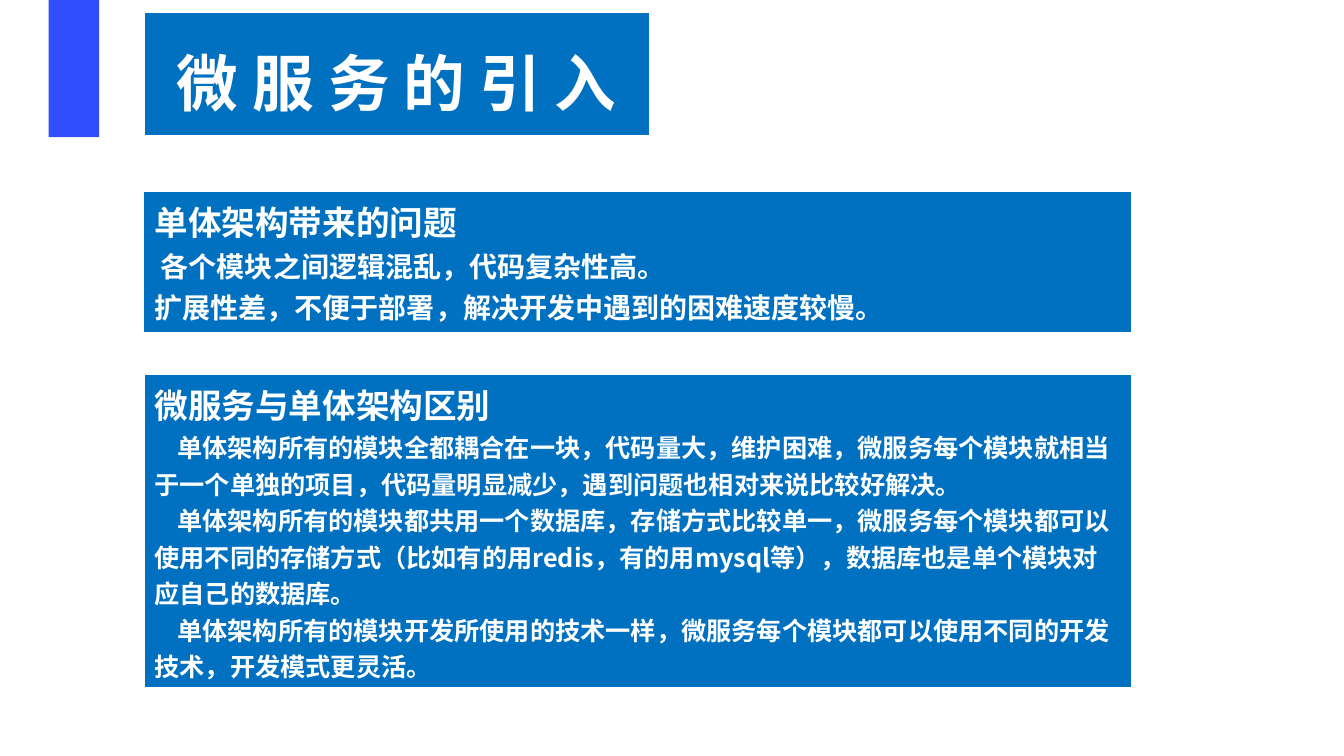
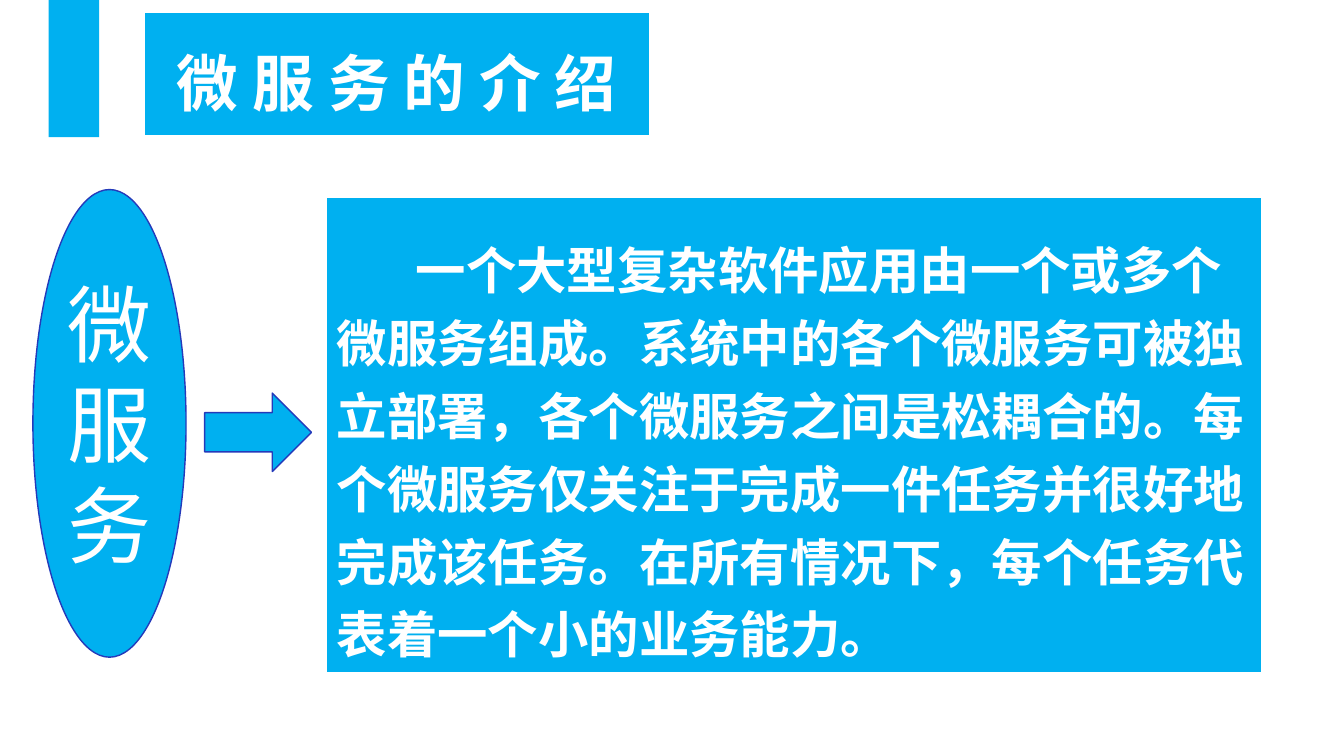
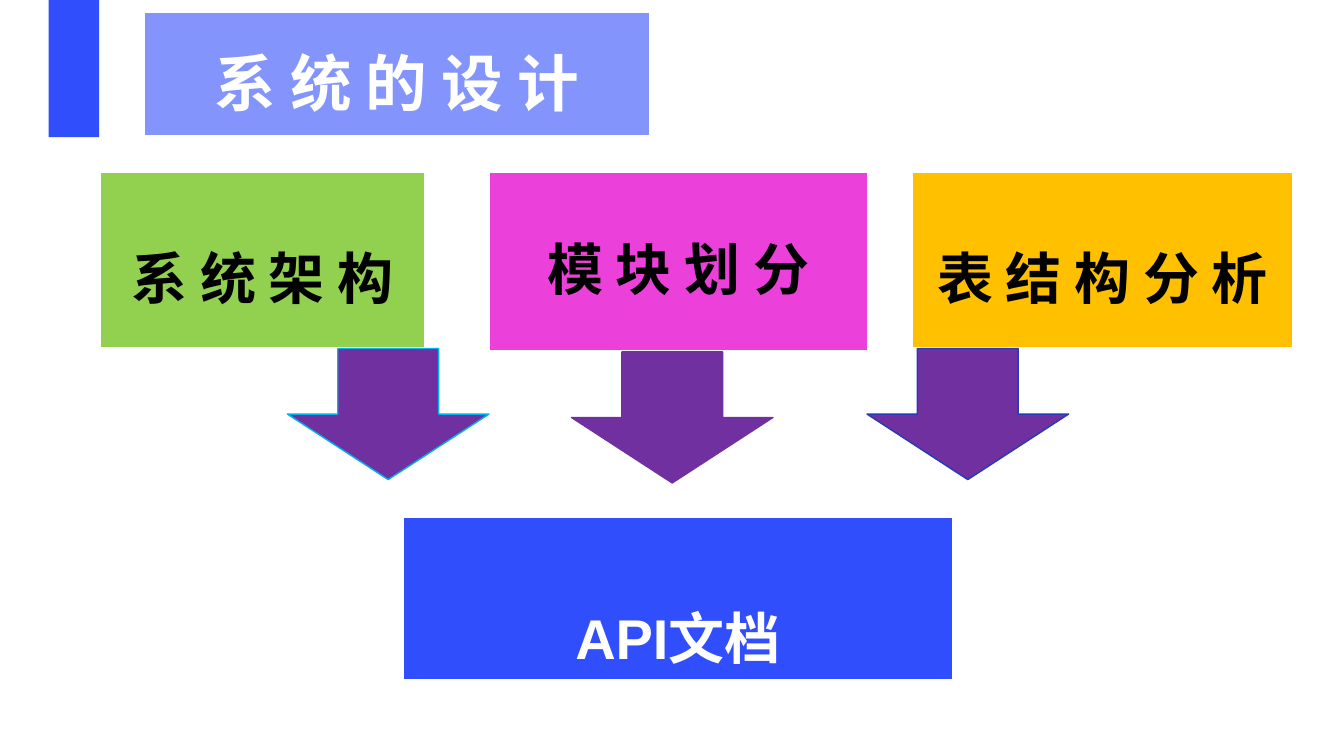
from pptx import Presentation
from pptx.dml.color import RGBColor
from pptx.enum import shapes, text
from pptx.oxml import ns, parse_xml
from pptx.util import Pt

WHITE = RGBColor(0xFF, 0xFF, 0xFF)
BLACK = RGBColor(0x00, 0x00, 0x00)
ROYAL = RGBColor(0x30, 0x4E, 0xFC)
PERIWINKLE = RGBColor(0x83, 0x95, 0xFD)
BLUE = RGBColor(0x00, 0x70, 0xC0)
SKY = RGBColor(0x00, 0xB0, 0xF0)
NAVY = RGBColor(0x24, 0x3A, 0xBA)
GREEN = RGBColor(0x92, 0xD0, 0x50)
PINK = RGBColor(0xEC, 0x40, 0xDA)
AMBER = RGBColor(0xFF, 0xC0, 0x00)
PURPLE = RGBColor(0x70, 0x30, 0xA0)
LATIN, CJK = "Arial", "Noto Sans CJK SC"
CENTER = text.PP_ALIGN.CENTER
BORDERS = {"lnL": 1, "lnR": 1, "lnT": 1, "lnB": 3}


def write(paragraph, words, size, font=CJK, color=WHITE, bold=True,
          align=None, spacing=None, indent=0):
    """Add one run and set the paragraph's layout."""
    paragraph.alignment = align
    paragraph.line_spacing = spacing
    if indent:
        paragraph._p.get_or_add_pPr().set("indent", str(Pt(indent)))
    run = paragraph.add_run()
    run.text = words
    run.font.size = Pt(size)
    run.font.name = font
    run.font.bold = bold
    run.font.color.rgb = color
    properties = run._r.get_or_add_rPr()
    east_asian = properties.makeelement(ns.qn("a:ea"), {"typeface": CJK})
    properties.find(ns.qn("a:latin")).addnext(east_asian)


def add_panel(slide, place, fill, line=None, kind=None, bordered=True):
    """Add a one-cell table and return its cell, or a preset shape if kind is given."""
    place = [Pt(n) for n in place]
    if kind is None:
        panel = slide.shapes.add_table(1, 1, *place).table.cell(0, 0)
        stroke = f'<a:solidFill><a:srgbClr val="{WHITE}"/></a:solidFill>' if bordered else "<a:noFill/>"
        for side, width in BORDERS.items():
            panel._tc.get_or_add_tcPr().append(parse_xml(
                f'<a:{side} {ns.nsdecls("a")} w="{Pt(width)}">{stroke}</a:{side}>'))
    else:
        panel = slide.shapes.add_shape(kind, *place)
        panel.shadow.inherit = False
        if line is None:
            panel.line.fill.background()
        else:
            panel.line.color.rgb = line
            panel.line.width = Pt(1)
    panel.fill.solid()
    panel.fill.fore_color.rgb = fill
    return panel


prs = Presentation()
prs.slide_width, prs.slide_height = Pt(960), Pt(540)

# Shared header: side band and title table
headers = [
    ("微 服 务 的 引 入", ROYAL, BLUE),
    ("微 服 务 的 介 绍", SKY, SKY),
    ("系 统 的 设 计", ROYAL, PERIWINKLE),
]
for heading, band_color, title_color in headers:
    slide = prs.slides.add_slide(prs.slide_layouts[6])
    add_panel(slide, (34.8, 0, 36, 98), band_color, kind=shapes.MSO_SHAPE.RECTANGLE)
    title = add_panel(slide, (103.2, 8.8, 360.6, 89), title_color)
    write(title.text_frame.paragraphs[0], heading, 44, LATIN, align=CENTER, spacing=1.2)

origin, introduction, design = prs.slides

# Slide 1: problems and differences
sections = [
    ((103.2, 136.8, 704.8, 98), False, "单体架构带来的问题", 20, [
        (4.5, "各个模块之间逻辑混乱，代码复杂性高。"),
        (0, "扩展性差，不便于部署，解决开发中遇到的困难速度较慢。"),
    ]),
    ((103.2, 267.6, 704.8, 198.7), True, "微服务与单体架构区别", 18, [
        (16.3, "单体架构所有的模块全都耦合在一块，代码量大，维护困难，微服务每个模块就相当于"
               "一个单独的项目，代码量明显减少，遇到问题也相对来说比较好解决。"),
        (16.3, "单体架构所有的模块都共用一个数据库，存储方式比较单一，微服务每个模块都可以使用"
               "不同的存储方式（比如有的用redis，有的用mysql等），数据库也是单个模块对应自己的数据库。"),
        (16.3, "单体架构所有的模块开发所使用的技术一样，微服务每个模块都可以使用不同的开发技术，"
               "开发模式更灵活。"),
    ]),
]
for place, bordered, heading, size, points in sections:
    frame = add_panel(origin, place, BLUE, bordered=bordered).text_frame
    write(frame.paragraphs[0], heading, 24)
    for indent, point in points:
        write(frame.add_paragraph(), point, size, indent=indent)

# Slide 2: definition
definition = add_panel(introduction, (233.3, 141, 668, 309), SKY)
definition.margin_top = Pt(24)
write(definition.text_frame.paragraphs[0],
      "一个大型复杂软件应用由一个或多个微服务组成。系统中的各个微服务可被独立部署，"
      "各个微服务之间是松耦合的。每个微服务仅关注于完成一件任务并很好地完成该任务。"
      "在所有情况下，每个任务代表着一个小的业务能力。", 36, indent=56.5)

term = add_panel(introduction, (23.5, 135.4, 109.4, 334), SKY, NAVY,
                 shapes.MSO_SHAPE.FLOWCHART_CONNECTOR)
term.text_frame.word_wrap = True
term.text_frame.vertical_anchor = text.MSO_ANCHOR.MIDDLE
write(term.text_frame.paragraphs[0], "微服务", 60, bold=False, align=CENTER)
add_panel(introduction, (146.2, 280.8, 76.3, 56), SKY, NAVY, shapes.MSO_SHAPE.RIGHT_ARROW)

# Slide 3: three parts lead to the API document
parts = [
    ("系 统 架 构", (72, 123.2, 231, 125.8), GREEN, BLACK, 1.7),
    ("模 块 划 分", (349.4, 123.2, 270, 128), PINK, BLACK, 1.6),
    ("表 结 构 分 析", (651.8, 123.2, 271.4, 125.8), AMBER, BLACK, 1.7),
    ("API文档", (288, 369.4, 392.4, 98.6), ROYAL, WHITE, 1.9),
]
for label, place, fill, color, spacing in parts:
    cell = add_panel(design, place, fill)
    write(cell.text_frame.paragraphs[0], label, 40, LATIN, color, align=CENTER, spacing=spacing)

for left, top, outline in [(205.3, 249, SKY), (408.2, 251.4, PURPLE), (619.3, 249, NAVY)]:
    add_panel(design, (left, top, 144, 93.6), PURPLE, outline, shapes.MSO_SHAPE.DOWN_ARROW)

prs.save("out.pptx")
